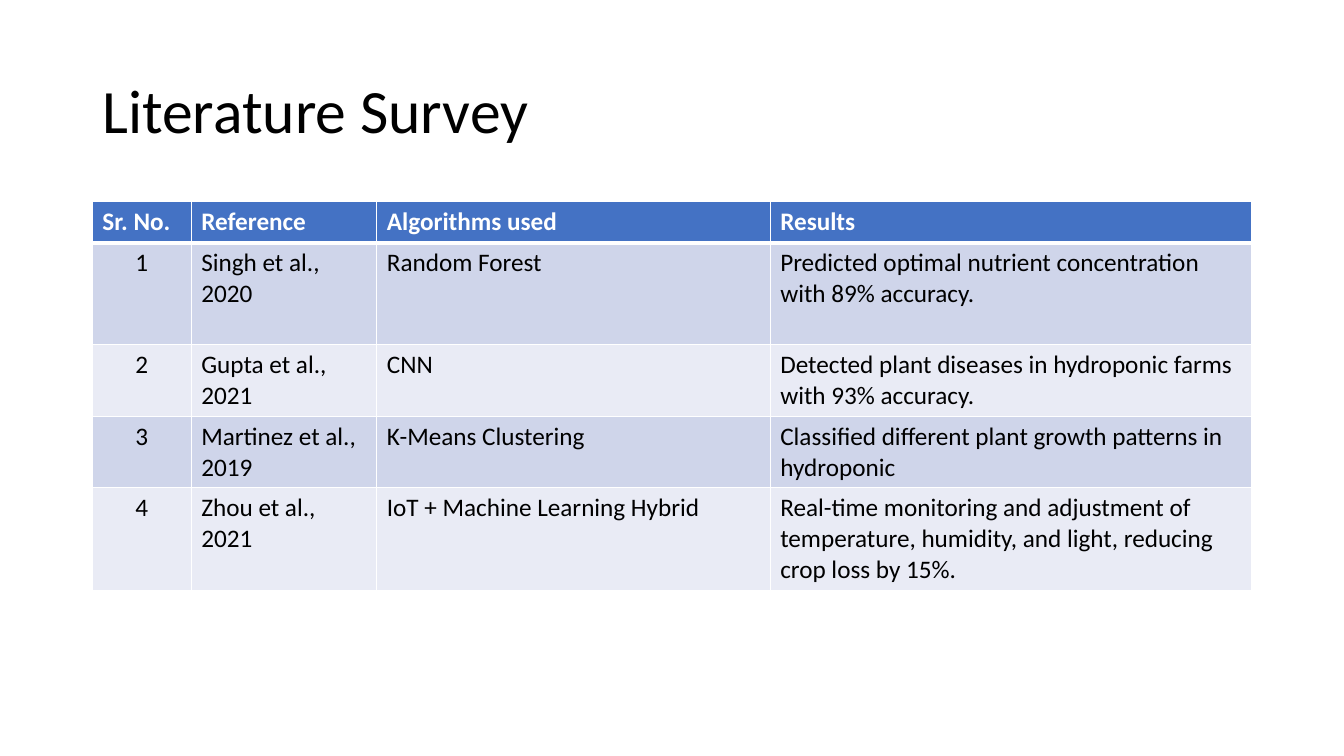
import pptx
import pptx.util
import pptx.dml.color
import pptx.enum.text
import pptx.oxml
import pptx.oxml.ns

COLORS = {"header": "4472C4", "odd": "CFD5EA", "even": "E9EBF5",
          "white": "FFFFFF", "black": "000000"}

# Slide grid: 160 columns by 75 rows
WIDTH, HEIGHT = pptx.util.Inches(13.333), pptx.util.Inches(7.5)
GRID_COLS, GRID_ROWS = 160, 75
LEFT, SPAN = 11, 138
COLUMN_SHARES = [0.0853, 0.1601, 0.3394, 0.4152]
ROW_HEIGHTS = [4.1, 10.1, 7.1, 7.1, 10.2]

SURVEY = [
    ["Sr. No.", "Reference", "Algorithms used", "Results"],
    ["1", "Singh et al., 2020", "Random Forest",
     "Predicted optimal nutrient concentration with 89% accuracy."],
    ["2", "Gupta et al., 2021", "CNN",
     "Detected plant diseases in hydroponic farms with 93% accuracy."],
    ["3", "Martinez et al., 2019", "K-Means Clustering",
     "Classified different plant growth patterns in hydroponic"],
    ["4", "Zhou et al., 2021", "IoT + Machine Learning Hybrid",
     "Real-time monitoring and adjustment of temperature, humidity, "
     "and light, reducing crop loss by 15%."],
]


def across(cols):
    return int(WIDTH * cols / GRID_COLS)


def down(rows):
    return int(HEIGHT * rows / GRID_ROWS)


def rgb(name):
    return pptx.dml.color.RGBColor.from_string(COLORS[name])


def write(tf, text, color, size, bold=False, **paragraph_format):
    p = tf.paragraphs[0]
    for name, value in paragraph_format.items():
        setattr(p, name, value)
    r = p.add_run()
    r.text = text
    font = {"name": "Calibri", "size": pptx.util.Pt(size), "bold": bold}
    for name, value in font.items():
        setattr(r.font, name, value)
    r.font.color.rgb = rgb(color)


def add_title(s, text):
    box = s.shapes.add_textbox(across(LEFT), down(4), across(SPAN), down(14.5))
    tf = box.text_frame
    frame = {"word_wrap": True,
             "vertical_anchor": pptx.enum.text.MSO_ANCHOR.MIDDLE}
    for name, value in frame.items():
        setattr(tf, name, value)
    write(tf, text, "black", 44, line_spacing=0.9)


def set_borders(cell, widths):
    props = cell._tc.get_or_add_tcPr()
    for i, (side, points) in enumerate(widths.items()):
        line = pptx.oxml.parse_xml(
            f'<a:ln{side} {pptx.oxml.ns.nsdecls("a")} w="{pptx.util.Pt(points)}">'
            f'<a:solidFill><a:srgbClr val="{COLORS["white"]}"/></a:solidFill>'
            f'</a:ln{side}>')
        props.insert(i, line)


def fill_cell(cell, text, row, col):
    header = row == 0
    fill = "header" if header else "odd" if row % 2 else "even"
    cell.fill.solid()
    cell.fill.fore_color.rgb = rgb(fill)
    centred = col == 0 and not header
    align = pptx.enum.text.PP_ALIGN
    write(cell.text_frame, text, "white" if header else "black", 18, header,
          alignment=align.CENTER if centred else align.LEFT)
    set_borders(cell, {"L": 1, "R": 1, "T": 3 if row == 1 else 1,
                       "B": 3 if header else 1})


def add_survey(s, data):
    table = s.shapes.add_table(len(data), len(data[0]), across(LEFT), down(20),
                               across(SPAN), down(sum(ROW_HEIGHTS))).table
    for column, share in zip(table.columns, COLUMN_SHARES):
        column.width = across(SPAN * share)
    for row, height in zip(table.rows, ROW_HEIGHTS):
        row.height = down(height)
    for i, texts in enumerate(data):
        for j, text in enumerate(texts):
            fill_cell(table.cell(i, j), text, i, j)


def main():
    prs = pptx.Presentation()
    prs.slide_width, prs.slide_height = WIDTH, HEIGHT
    s = prs.slides.add_slide(prs.slide_layouts[6])

    # Heading
    add_title(s, "Literature Survey")
    # Table of earlier work
    add_survey(s, SURVEY)

    prs.save("out.pptx")


if __name__ == "__main__":
    main()
